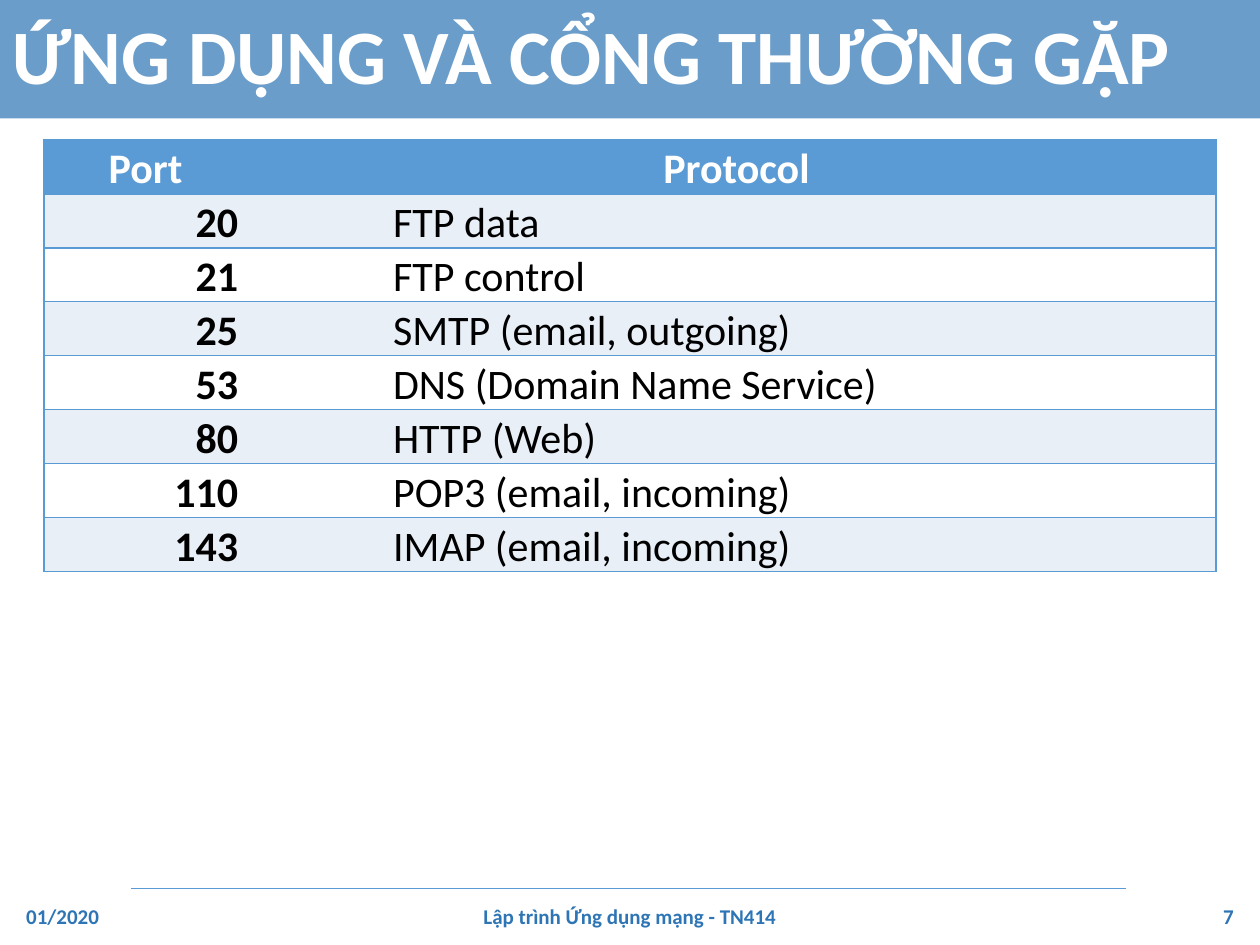
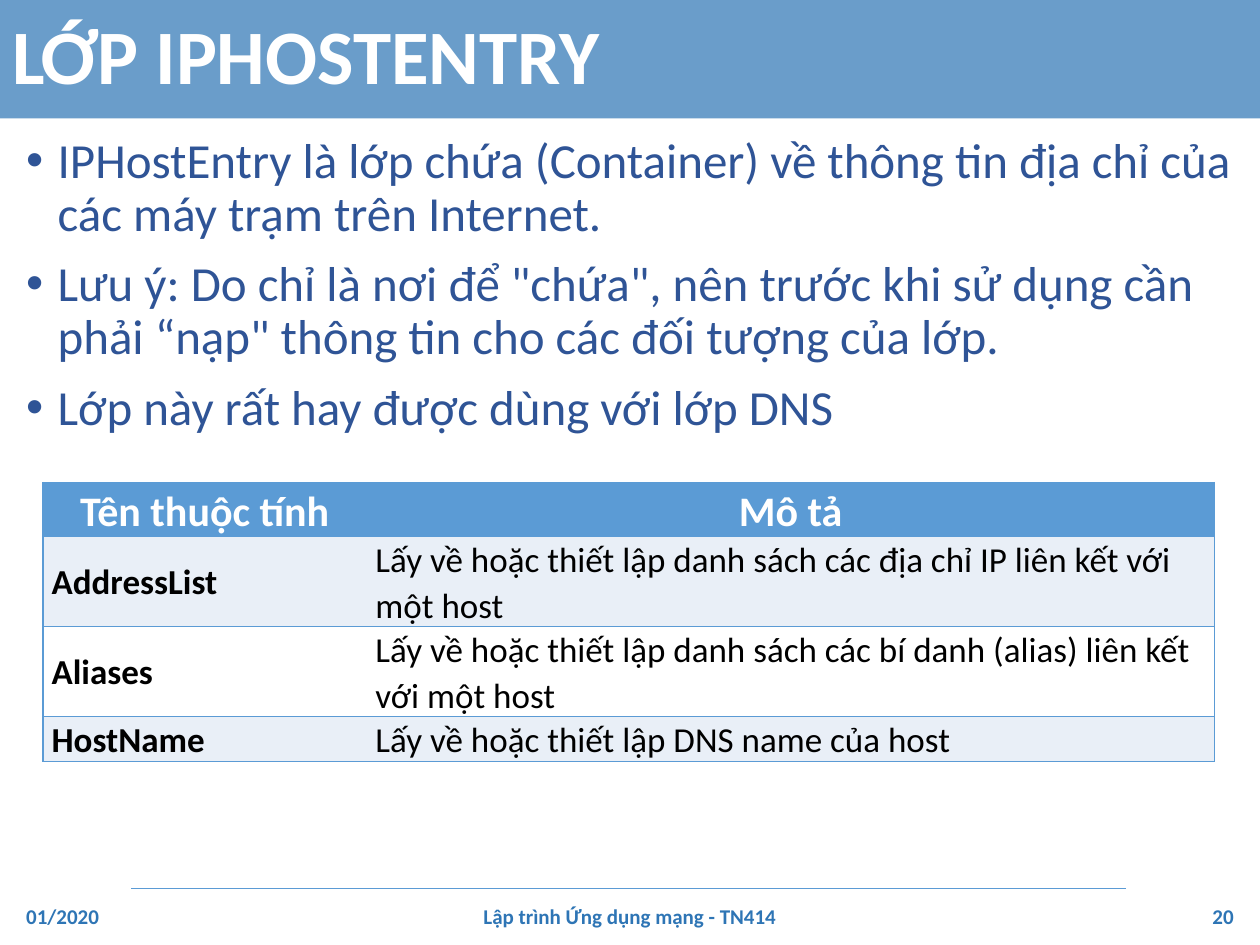
from lxml import etree
from pptx import Presentation
from pptx.dml.color import RGBColor as RGB
from pptx.enum.shapes import MSO_CONNECTOR as CONN, MSO_SHAPE as SHAPE
from pptx.enum.text import MSO_ANCHOR as ANCHOR, PP_ALIGN as ALIGN
from pptx.oxml.ns import qn
from pptx.util import Inches, Pt

C = {"band": "2E75B5", "line": "5B9BD5", "stripe": "E9EFF7",
     "white": "FFFFFF", "black": "000000", "body": "2F5496"}
FONT = "Calibri"

SLIDES = [
    {"title": "ỨNG DỤNG VÀ CỔNG THƯỜNG GẶP", "number": "7", "bullets": [],
     "at": (0.35, 1.11), "cols": (1.69, 7.61), "size": 24,
     "key_align": ALIGN.RIGHT, "key_right": 0.15, "value_left": 1.08,
     "rows": [("Port", "Protocol"),
              ("20", "FTP data"),
              ("21", "FTP control"),
              ("25", "SMTP (email, outgoing)"),
              ("53", "DNS (Domain Name Service)"),
              ("80", "HTTP (Web)"),
              ("110", "POP3 (email, incoming)"),
              ("143", "IMAP (email, incoming)")]},
    {"title": "LỚP IPHOSTENTRY", "number": "20",
     "bullets": [
         "IPHostEntry là lớp chứa (Container) về thông tin địa chỉ của các máy trạm trên Internet.",
         "Lưu ý: Do chỉ là nơi để \"chứa\", nên trước khi sử dụng cần phải “nạp\" thông tin cho các đối tượng của lớp.",
         "Lớp này rất hay được dùng với lớp DNS"],
     "at": (0.34, 3.83), "cols": (2.57, 6.73), "size": 20,
     "key_align": ALIGN.LEFT, "key_right": 0.07, "value_left": 0.07,
     "rows": [("Tên thuộc tính", "Mô tả"),
              ("AddressList", "Lấy về hoặc thiết lập danh sách các địa chỉ IP liên kết với một host"),
              ("Aliases", "Lấy về hoặc thiết lập danh sách các bí danh (alias) liên kết với một host"),
              ("HostName", "Lấy về hoặc thiết lập DNS name của host")]},
]


def write(tf, *texts, size, color, bold=False, align=ALIGN.LEFT, spacing=1.0, before=0, bullet=False):
    for i, text in enumerate(texts):
        p = tf.add_paragraph() if i else tf.paragraphs[0]
        if bullet:
            pPr = p._p.get_or_add_pPr()
            pPr.set("marL", str(Inches(0.25)))
            pPr.set("indent", str(-Inches(0.25)))
            clr = etree.SubElement(pPr, qn("a:buClr"))
            etree.SubElement(clr, qn("a:srgbClr"), val=color)
            etree.SubElement(pPr, qn("a:buFont"), typeface="Arial")
            etree.SubElement(pPr, qn("a:buChar"), char="•")
        p.alignment = align
        p.line_spacing = spacing
        if i and before:
            p.space_before = Pt(before)
        r = p.add_run()
        r.text = text
        r.font.name = FONT
        r.font.size = Pt(size)
        r.font.bold = bold
        r.font.color.rgb = RGB.from_string(color)


def border(cell, hidden):
    tcPr = cell._tc.get_or_add_tcPr()
    for side in ("lnL", "lnR", "lnT", "lnB"):
        ln = etree.SubElement(tcPr, qn("a:" + side), w=str(Pt(1)))
        if side == hidden:
            etree.SubElement(ln, qn("a:noFill"))
        else:
            fill = etree.SubElement(ln, qn("a:solidFill"))
            etree.SubElement(fill, qn("a:srgbClr"), val=C["line"])


prs = Presentation()
prs.slide_width, prs.slide_height = Inches(10), Inches(7.5)

for data in SLIDES:
    s = prs.slides.add_slide(prs.slide_layouts[6])

    rule = s.shapes.add_connector(CONN.STRAIGHT, Inches(1.04), Inches(7.05), Inches(8.94), Inches(7.05))
    rule.line.color.rgb = RGB.from_string(C["line"])
    rule.line.width = Pt(0.75)
    etree.SubElement(rule._element.spPr, qn("a:effectLst"))

    band = s.shapes.add_shape(SHAPE.RECTANGLE, 0, 0, Inches(10), Inches(0.94))
    band.shadow.inherit = False
    band.line.fill.background()
    band.fill.solid()
    band.fill.fore_color.rgb = RGB.from_string(C["band"])
    clr = band._element.spPr.find(qn("a:solidFill")).find(qn("a:srgbClr"))
    etree.SubElement(clr, qn("a:alpha"), val="71000")
    band.text_frame.word_wrap = True
    band.text_frame.vertical_anchor = ANCHOR.MIDDLE
    write(band.text_frame, data["title"], size=44, color=C["white"], bold=True, spacing=0.9)

    if data["bullets"]:
        sp = s.shapes.add_textbox(Inches(0.11), Inches(1.03), Inches(9.76), Inches(5.93))
        sp.text_frame.word_wrap = True
        write(sp.text_frame, *data["bullets"], size=28, color=C["body"],
              spacing=0.9, before=10, bullet=True)

    for text, left, width, align in (("01/2020", 0.11, 0.9, ALIGN.LEFT),
                                     ("Lập trình Ứng dụng mạng - TN414", 1.05, 7.9, ALIGN.CENTER),
                                     (data["number"], 8.99, 0.9, ALIGN.RIGHT)):
        sp = s.shapes.add_textbox(Inches(left), Inches(7.07), Inches(width), Inches(0.4))
        sp.text_frame.word_wrap = True
        sp.text_frame.vertical_anchor = ANCHOR.MIDDLE
        write(sp.text_frame, text, size=12, color=C["band"], bold=True, align=align)

    rows, cols = data["rows"], data["cols"]
    left, top = data["at"]
    table = s.shapes.add_table(len(rows), len(cols), Inches(left), Inches(top),
                               Inches(sum(cols)), Inches(0.35 * len(rows))).table
    for col, width in zip(table.columns, cols):
        col.width = Inches(width)
    for i, row in enumerate(rows):
        for j, text in enumerate(row):
            header, key = i == 0, j == 0
            cell = table.cell(i, j)
            border(cell, "lnR" if key else "lnL")
            cell.fill.solid()
            fill = C["line"] if header else C["stripe"] if i % 2 else C["white"]
            cell.fill.fore_color.rgb = RGB.from_string(fill)
            cell.vertical_anchor = ANCHOR.MIDDLE
            cell.margin_top = cell.margin_bottom = 0
            cell.margin_left = Inches(0.07 if header or key else data["value_left"])
            cell.margin_right = Inches(data["key_right"] if key else 0.07)
            align = ALIGN.CENTER if header else data["key_align"] if key else ALIGN.LEFT
            write(cell.text_frame, text, size=24 if header else data["size"],
                  color=C["white"] if header else C["black"],
                  bold=header or key, align=align, spacing=1.07)

prs.save("out.pptx")
